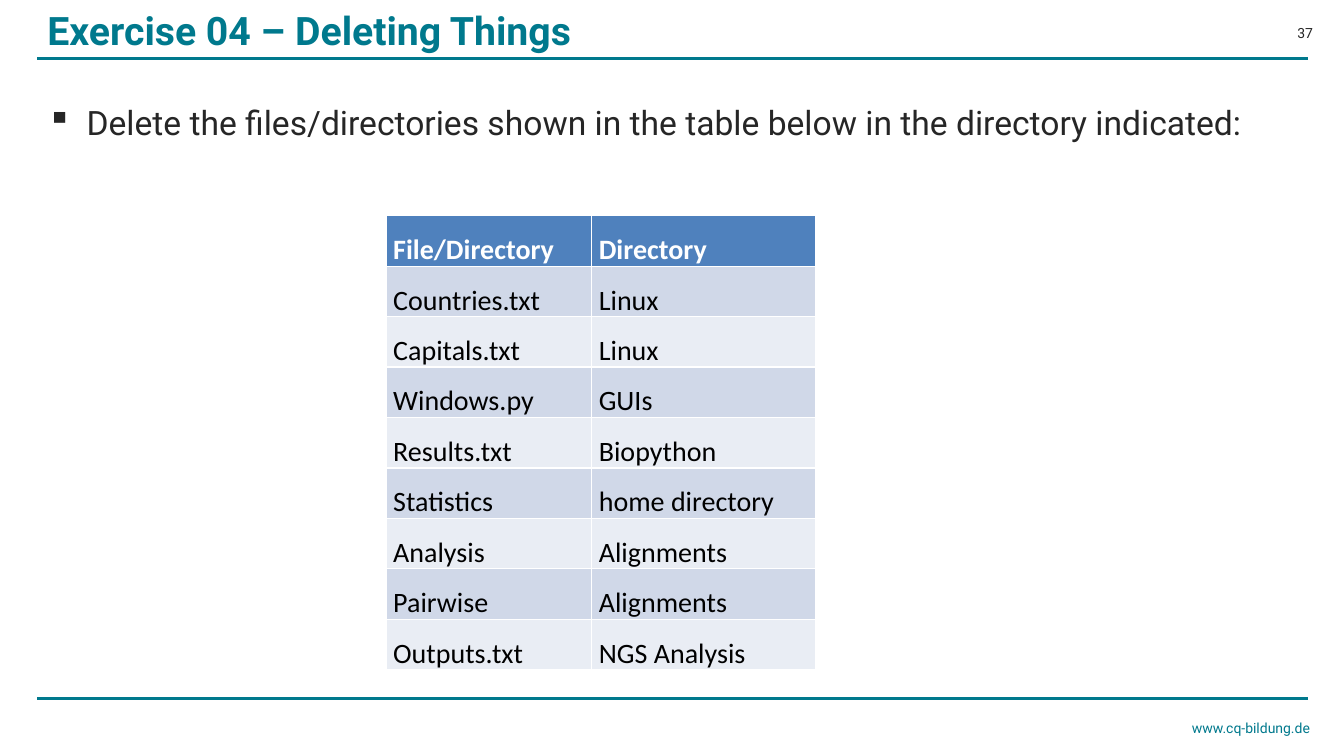
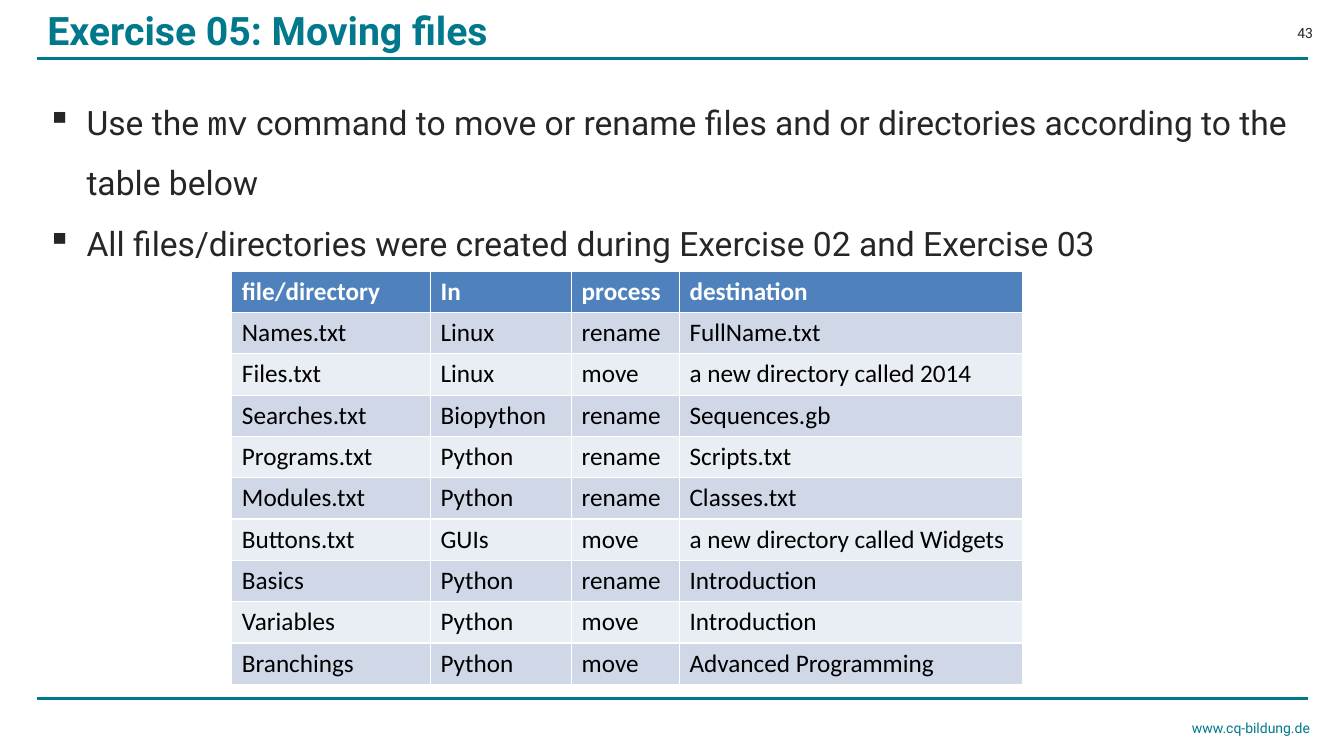
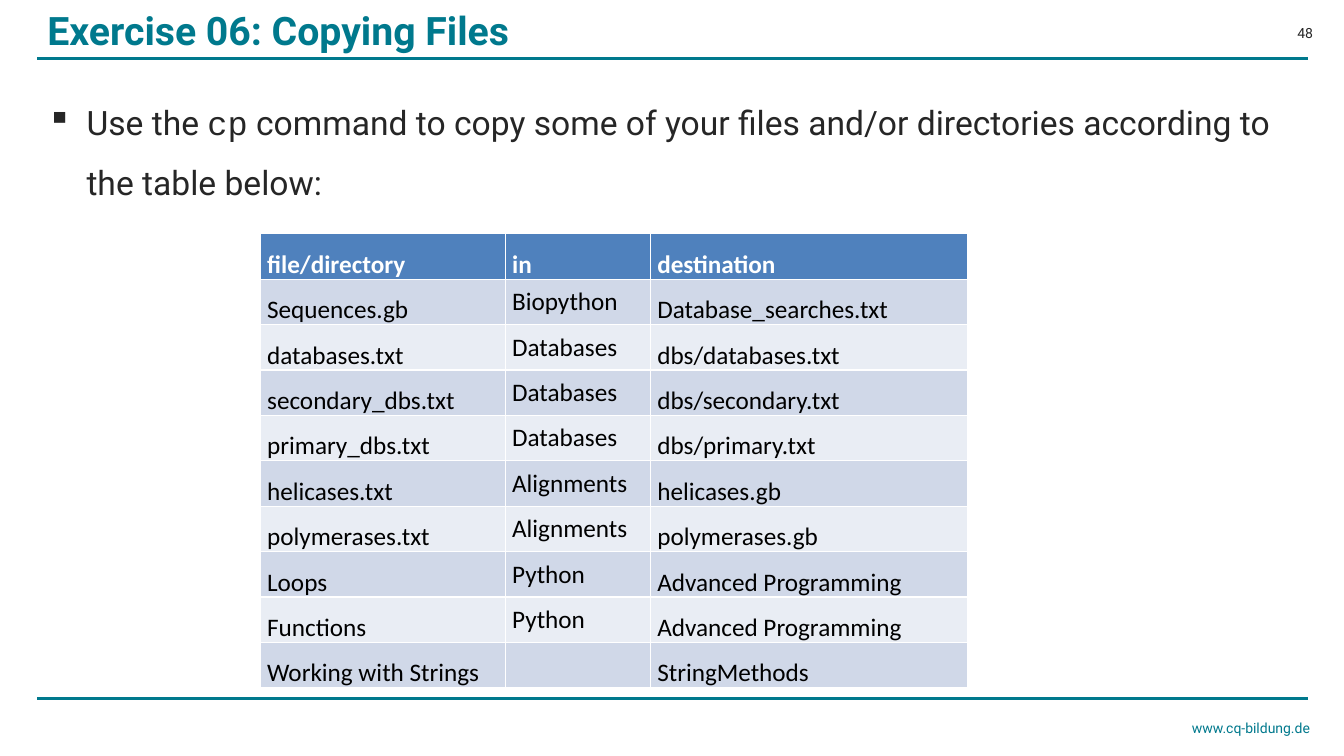
from lxml.etree import SubElement
from pptx import Presentation
from pptx.dml.color import RGBColor
from pptx.enum.shapes import MSO_CONNECTOR
from pptx.enum.text import MSO_ANCHOR, MSO_AUTO_SIZE, PP_ALIGN
from pptx.oxml.ns import qn
from pptx.util import Inches, Pt

TEAL = RGBColor(0x00, 0x79, 0x8D)
INK = RGBColor(0x26, 0x26, 0x26)
BLACK = RGBColor(0x00, 0x00, 0x00)
WHITE = RGBColor(0xFF, 0xFF, 0xFF)
HEADER_BLUE = RGBColor(0x4F, 0x81, 0xBD)
BANDS = (RGBColor(0xE9, 0xED, 0xF4), RGBColor(0xD0, 0xD8, 0xE8))

TEXT_FONT = "Roboto"
CODE_FONT = "Courier New"
TABLE_FONT = "Calibri"

LEFT, WIDTH = 0.37, 12.6
ROW_HEIGHT = 0.41

DELETIONS = [
    ("File/Directory", "Directory"),
    ("Countries.txt", "Linux"),
    ("Capitals.txt", "Linux"),
    ("Windows.py", "GUIs"),
    ("Results.txt", "Biopython"),
    ("Statistics", "home directory"),
    ("Analysis", "Alignments"),
    ("Pairwise", "Alignments"),
    ("Outputs.txt", "NGS Analysis"),
]
MOVES = [
    ("file/directory", "In", "process", "destination"),
    ("Names.txt", "Linux", "rename", "FullName.txt"),
    ("Files.txt", "Linux", "move", "a new directory called 2014"),
    ("Searches.txt", "Biopython", "rename", "Sequences.gb"),
    ("Programs.txt", "Python", "rename", "Scripts.txt"),
    ("Modules.txt", "Python", "rename", "Classes.txt"),
    ("Buttons.txt", "GUIs", "move", "a new directory called Widgets"),
    ("Basics", "Python", "rename", "Introduction"),
    ("Variables", "Python", "move", "Introduction"),
    ("Branchings", "Python", "move", "Advanced Programming"),
]
COPIES = [
    ("file/directory", "in", "destination"),
    ("Sequences.gb", "Biopython", "Database_searches.txt"),
    ("databases.txt", "Databases", "dbs/databases.txt"),
    ("secondary_dbs.txt", "Databases", "dbs/secondary.txt"),
    ("primary_dbs.txt", "Databases", "dbs/primary.txt"),
    ("helicases.txt", "Alignments", "helicases.gb"),
    ("polymerases.txt", "Alignments", "polymerases.gb"),
    ("Loops", "Python", "Advanced Programming"),
    ("Functions", "Python", "Advanced Programming"),
    ("Working with Strings", "", "StringMethods"),
]


def set_font(paragraph, name, size, color, bold=False):
    font = paragraph.font
    font.name, font.size, font.bold = name, Pt(size), bold
    font.color.rgb = color


class Deck:
    def __init__(self):
        self.presentation = Presentation()
        self.presentation.slide_width = Inches(13.33)
        self.presentation.slide_height = Inches(7.5)
        self.slide = None

    def start_slide(self, title, number):
        layout = self.presentation.slide_layouts[5]
        self.slide = self.presentation.slides.add_slide(layout)
        self.title(title)
        for y in (0.58, 6.93):
            self.rule(y)
        self.small_text(11.1, 7.09, 1.99, 0.27, "www.cq-bildung.de", TEAL)
        self.small_text(12.44, 0.2, 0.68, 0.26, str(number), INK)

    def title(self, text):
        shape = self.slide.shapes.title
        shape.left, shape.top = Inches(LEFT), Inches(0.06)
        shape.width, shape.height = Inches(11.44), Inches(0.47)
        frame = shape.text_frame
        frame.text = text
        frame.auto_size = MSO_AUTO_SIZE.NONE
        frame.vertical_anchor = MSO_ANCHOR.MIDDLE
        paragraph = frame.paragraphs[0]
        paragraph.alignment = PP_ALIGN.LEFT
        set_font(paragraph, TEXT_FONT, 28, TEAL, True)

    def rule(self, y):
        line = self.slide.shapes.add_connector(
            MSO_CONNECTOR.STRAIGHT,
            Inches(LEFT), Inches(y), Inches(LEFT + WIDTH), Inches(y))
        line.line.color.rgb = TEAL
        line.line.width = Pt(2)
        SubElement(line._element.spPr, qn("a:effectLst"))

    def text_frame(self, left, top, width, height):
        box = self.slide.shapes.add_textbox(
            Inches(left), Inches(top), Inches(width), Inches(height))
        box.text_frame.word_wrap = True
        return box.text_frame

    def small_text(self, left, top, width, height, text, color):
        frame = self.text_frame(left, top, width, height)
        frame.vertical_anchor = MSO_ANCHOR.MIDDLE
        paragraph = frame.paragraphs[0]
        paragraph.text = text
        paragraph.alignment = PP_ALIGN.RIGHT
        set_font(paragraph, TEXT_FONT, 10, color)

    def bullets(self, *items):
        frame = self.text_frame(LEFT, 0.76, WIDTH, 6.14)
        for index, parts in enumerate(items):
            paragraph = frame.add_paragraph() if index else frame.paragraphs[0]
            properties = paragraph._p.get_or_add_pPr()
            properties.set("marL", str(Inches(0.39)))
            properties.set("indent", str(-Inches(0.39)))
            SubElement(properties, qn("a:buChar"), char="▪")
            paragraph.line_spacing = 1.5
            set_font(paragraph, TEXT_FONT, 24, INK)
            for position, part in enumerate(parts):
                run = paragraph.add_run()
                run.text = part
                if position % 2:
                    run.font.name = CODE_FONT

    def table(self, left, top, widths, rows, size, spacings=None,
              body_anchor=MSO_ANCHOR.TOP):
        table = self.slide.shapes.add_table(
            len(rows), len(widths), Inches(left), Inches(top),
            Inches(sum(widths)), Inches(ROW_HEIGHT * len(rows))).table
        for column, width in zip(table.columns, widths):
            column.width = Inches(width)
        for row_index, texts in enumerate(rows):
            header = row_index == 0
            table.rows[row_index].height = Inches(ROW_HEIGHT)
            for column_index, text in enumerate(texts):
                cell = table.cell(row_index, column_index)
                cell.fill.solid()
                cell.fill.fore_color.rgb = HEADER_BLUE if header else BANDS[row_index % 2]
                cell.vertical_anchor = MSO_ANCHOR.TOP if header else body_anchor
                paragraph = cell.text_frame.paragraphs[0]
                paragraph.text = text
                if spacings:
                    cell.margin_left = cell.margin_right = Inches(0.07)
                    cell.margin_top = cell.margin_bottom = 0
                    paragraph.alignment = PP_ALIGN.JUSTIFY
                    paragraph.line_spacing = 1.5 if header else spacings[column_index]
                set_font(paragraph, TABLE_FONT, size, WHITE if header else BLACK, header)


def main():
    deck = Deck()

    deck.start_slide("Exercise 04 – Deleting Things", 37)
    deck.bullets(["Delete the files/directories shown in the table below "
                  "in the directory indicated:"])
    deck.table(3.83, 2.14, (2.04, 2.22), DELETIONS, 20, (1.5, 1.5))

    deck.start_slide("Exercise 05: Moving files", 43)
    deck.bullets(
        ["Use the ", "mv", " command to move or rename files and or directories "
         "according to the table below"],
        ["All files/directories were created during Exercise 02 and Exercise 03"])
    deck.table(2.3, 2.69, (1.97, 1.4, 1.07, 3.4), MOVES, 18)

    deck.start_slide("Exercise 06: Copying Files", 48)
    deck.bullets(["Use the ", "cp", " command to copy some of your files and/or "
                  "directories according to the table below:"])
    deck.table(2.58, 2.32, (2.43, 1.44, 3.15), COPIES, 18, (1.5, 1.0, 1.5),
               MSO_ANCHOR.MIDDLE)

    deck.presentation.save("out.pptx")


if __name__ == "__main__":
    main()
